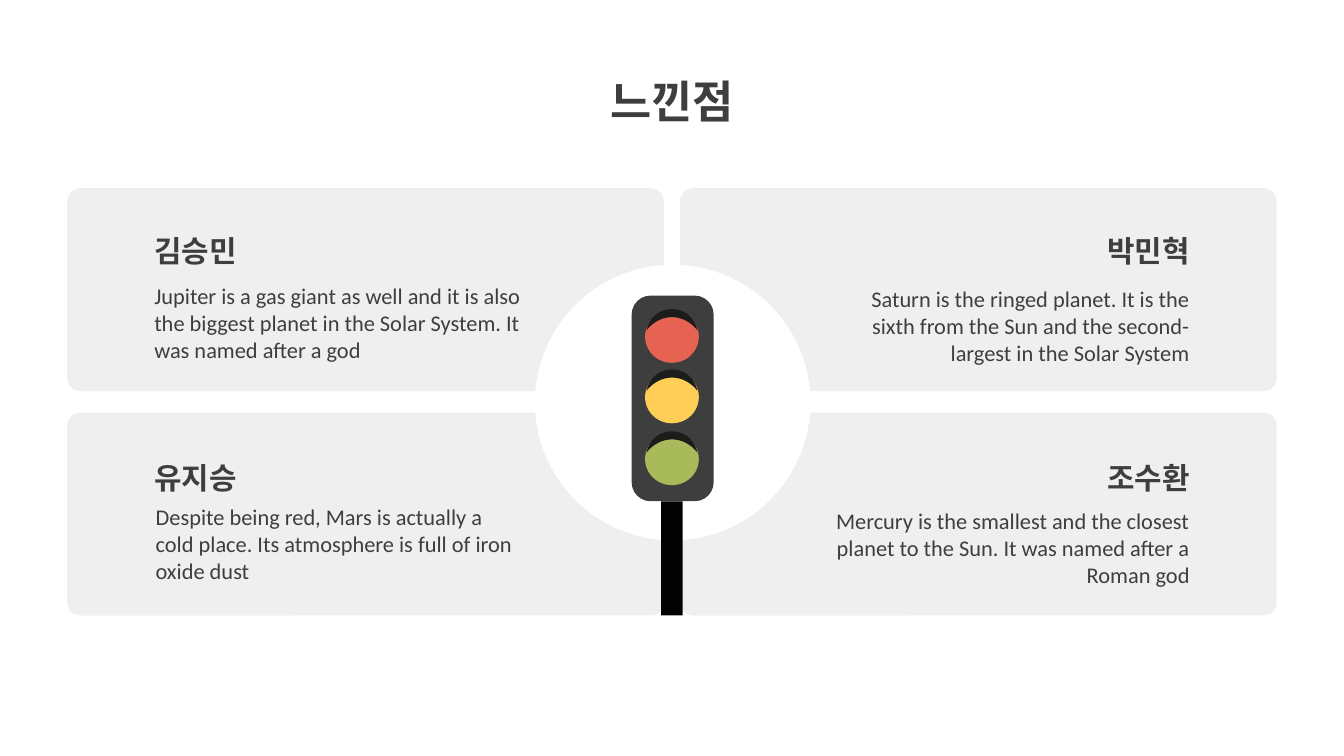
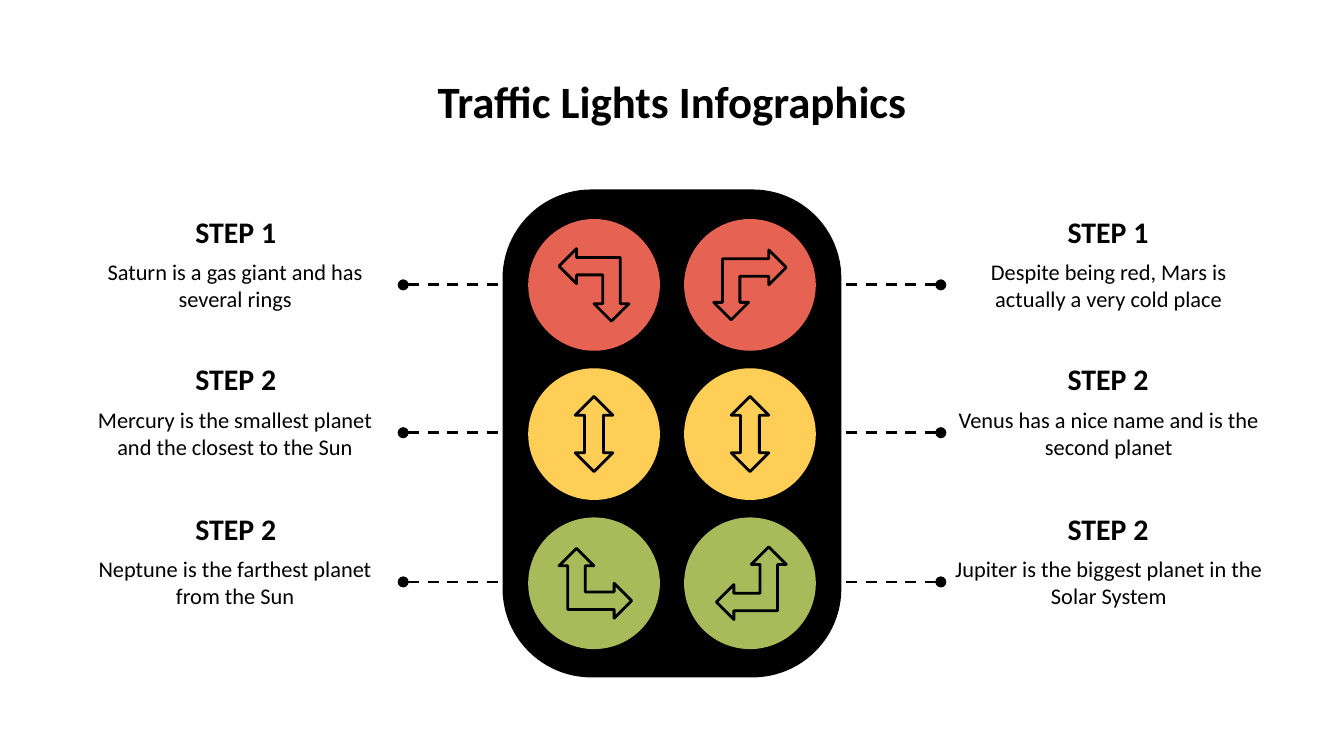
from lxml.etree import SubElement
from pptx import Presentation
from pptx.dml.color import RGBColor
from pptx.enum.dml import MSO_LINE
from pptx.enum.shapes import MSO_CONNECTOR, MSO_SHAPE
from pptx.enum.text import MSO_ANCHOR, PP_ALIGN
from pptx.oxml.ns import qn
from pptx.util import Pt

PX = 9144
FONT = "Calibri"
WHITE = RGBColor(0xFF, 0xFF, 0xFF)
BLACK = RGBColor(0, 0, 0)
POLE = RGBColor(0x02, 0x02, 0x02)
CHARCOAL = RGBColor(0x3E, 0x3E, 0x3E)
VISOR = RGBColor(0x1C, 0x1C, 0x1B)
CARD = RGBColor(0xEF, 0xEF, 0xEF)
RED = RGBColor(0xE6, 0x63, 0x53)
YELLOW = RGBColor(0xFF, 0xCE, 0x56)
GREEN = RGBColor(0xA9, 0xBA, 0x5A)
LIGHTS = (RED, YELLOW, GREEN)

LEFT, CENTER, RIGHT = PP_ALIGN.LEFT, PP_ALIGN.CENTER, PP_ALIGN.RIGHT

REFLECTIONS = [
    (50, 140, LEFT, "김승민", (105, 200, 293, 80),
     "Jupiter is a gas giant as well and it is also the biggest planet in the "
     "Solar System. It was named after a god"),
    (506, 140, RIGHT, "박민혁", (604, 200, 291, 85),
     "Saturn is the ringed planet. It is the sixth from the Sun and the "
     "second-largest in the Solar System"),
    (50, 307, LEFT, "유지승", (106, 365, 292, 79),
     "Despite being red, Mars is actually a cold place. Its atmosphere is full "
     "of iron oxide dust"),
    (506, 307, RIGHT, "조수환", (603, 365, 292, 85),
     "Mercury is the smallest and the closest planet to the Sun. It was named "
     "after a Roman god"),
]

STEPS = [
    ("STEP 1", "Saturn is a gas giant and has several rings",
     "Despite being red, Mars is actually a very cold place"),
    ("STEP 2", "Mercury is the smallest planet and the closest to the Sun",
     "Venus has a nice name and is the second planet"),
    ("STEP 2", "Neptune is the farthest planet from the Sun",
     "Jupiter is the biggest planet in the Solar System"),
]

TURNS = {
    (0, 0): (270, False), (0, 1): (180, False),
    (2, 0): (0, True), (2, 1): (270, True),
}


def px(*lengths):
    return [round(length * PX) for length in lengths]


def paint(shape, fill=None, outline=None):
    shape.shadow.inherit = False
    if fill is None:
        shape.fill.background()
    else:
        shape.fill.solid()
        shape.fill.fore_color.rgb = fill
    if outline is None:
        shape.line.fill.background()
    else:
        shape.line.color.rgb = outline
        shape.line.width = Pt(1.5)
    return shape


def add_figure(slide, preset, box, fill=None, outline=None, adjust=()):
    figure = slide.shapes.add_shape(preset, *px(*box))
    for index, value in enumerate(adjust):
        figure.adjustments[index] = value
    return paint(figure, fill, outline)


def add_text(slide, text, box, size, color, align, bold=False,
             anchor=MSO_ANCHOR.MIDDLE):
    label = slide.shapes.add_textbox(*px(*box))
    frame = label.text_frame
    frame.word_wrap = True
    frame.vertical_anchor = anchor
    frame.margin_left, frame.margin_top, frame.margin_right, frame.margin_bottom = px(10, 10, 10, 10)
    frame.text = text
    paragraph = frame.paragraphs[0]
    paragraph.alignment = align
    font = paragraph.runs[0].font
    font.name, font.size, font.bold = FONT, Pt(size), bold
    font.color.rgb = color
    return label


def add_title(slide, text, color):
    add_text(slide, text, (50, 45, 900, 44), 24, color, CENTER, True, MSO_ANCHOR.TOP)


def bezier(points, steps=10):
    for step in range(1, steps + 1):
        t = step / steps
        weights = ((1 - t) ** 3, 3 * t * (1 - t) ** 2, 3 * t * t * (1 - t), t ** 3)
        yield tuple(px(*(sum(w * p[axis] for w, p in zip(weights, points)) for axis in (0, 1))))


def add_visor(slide, middle, top):
    curves = [
        [(0, 0), (-9, 0), (-17, 6), (-19, 16)],
        [(-19, 16), (-17, 13), (-10, 6), (0, 6)],
        [(0, 6), (10, 6), (17, 13), (19, 16)],
        [(19, 16), (17, 6), (9, 0), (0, 0)],
    ]
    outline = slide.shapes.build_freeform(*px(middle, top), scale=1.0)
    for curve in curves:
        points = [(middle + x, top + y) for x, y in curve]
        outline.add_line_segments(list(bezier(points)), close=False)
    outline.add_line_segments([], close=True)
    paint(outline.convert_to_shape(), VISOR)


def add_traffic_light(slide):
    add_figure(slide, MSO_SHAPE.ROUNDED_RECTANGLE, (470, 220, 61, 153), CHARCOAL, adjust=[0.23])
    for row, color in enumerate(LIGHTS):
        top = 231 + 91 * row // 2
        add_figure(slide, MSO_SHAPE.OVAL, (480, top, 40, 39), color)
        add_visor(slide, 500, top - 1)
    add_figure(slide, MSO_SHAPE.RECTANGLE, (492, 373, 16, 85), POLE)


def add_leader(slide, description, side, end_x, y):
    leader = slide.shapes.add_connector(MSO_CONNECTOR.STRAIGHT, *px(end_x, y, end_x, y))
    leader.begin_connect(description, side)
    leader.line.color.rgb = BLACK
    leader.line.width = Pt(1.5)
    leader.line.dash_style = MSO_LINE.DASH
    properties = leader._element.spPr
    SubElement(properties.find(qn("a:ln")), qn("a:headEnd"), type="oval")
    SubElement(properties, qn("a:effectLst"))


def add_lamp(slide, row, column):
    x, y = 393 + 116 * column, 163 + 111 * row
    add_figure(slide, MSO_SHAPE.OVAL, (x, y, 98, 98), LIGHTS[row])
    if (row, column) not in TURNS:
        add_figure(slide, MSO_SHAPE.UP_DOWN_ARROW, (x + 35, y + 21, 28, 56),
                   outline=BLACK, adjust=[0.654, 0.5])
        return
    rotation, mirrored = TURNS[row, column]
    arrow = add_figure(slide, MSO_SHAPE.LEFT_UP_ARROW,
                       (x + 22 + mirrored, y + 23, 54, 52), outline=BLACK)
    arrow.rotation = rotation
    if mirrored:
        arrow._element.spPr.xfrm.set("flipH", "1")


def add_step(slide, row, column, heading, detail):
    shift = 221 * row // 2
    add_text(slide, heading, ((79, 728)[column], 157 + shift, 193, 30), 16, BLACK, CENTER, True)
    description = add_text(slide, detail, ((50, 700)[column], 180 + shift, 250, 64),
                           12, BLACK, CENTER)
    add_leader(slide, description, (3, 1)[column], (393, 607)[column], 212 + shift)


def build_reflections(slide):
    add_title(slide, "느낀점", CHARCOAL)
    for x, y, *_ in REFLECTIONS:
        add_figure(slide, MSO_SHAPE.ROUNDED_RECTANGLE, (x, y, 444, 151), CARD, adjust=[0.065])
    add_figure(slide, MSO_SHAPE.OVAL, (398, 197, 205, 205), WHITE)
    for _, y, align, name, thought_box, thought in REFLECTIONS:
        name_x = 105 if align == LEFT else 603
        name_y = 169 if y == 140 else 338
        add_text(slide, name, (name_x, name_y, 292, 35), 16, CHARCOAL, align, True)
        add_text(slide, thought, thought_box, 12, CHARCOAL, align)
    add_traffic_light(slide)


def build_steps(slide):
    add_title(slide, "Traffic Lights Infographics", BLACK)
    add_figure(slide, MSO_SHAPE.ROUNDED_RECTANGLE, (375, 142, 250, 361), BLACK, BLACK, [0.26])
    for row, (heading, *details) in enumerate(STEPS):
        for column, detail in enumerate(details):
            add_lamp(slide, row, column)
            add_step(slide, row, column, heading, detail)


def main():
    deck = Presentation()
    deck.slide_width = 1000 * PX
    deck.slide_height = deck.slide_width * 9 // 16
    for build in (build_reflections, build_steps):
        slide = deck.slides.add_slide(deck.slide_layouts[6])
        slide.background.fill.solid()
        slide.background.fill.fore_color.rgb = WHITE
        build(slide)
    deck.save("out.pptx")


if __name__ == "__main__":
    main()
